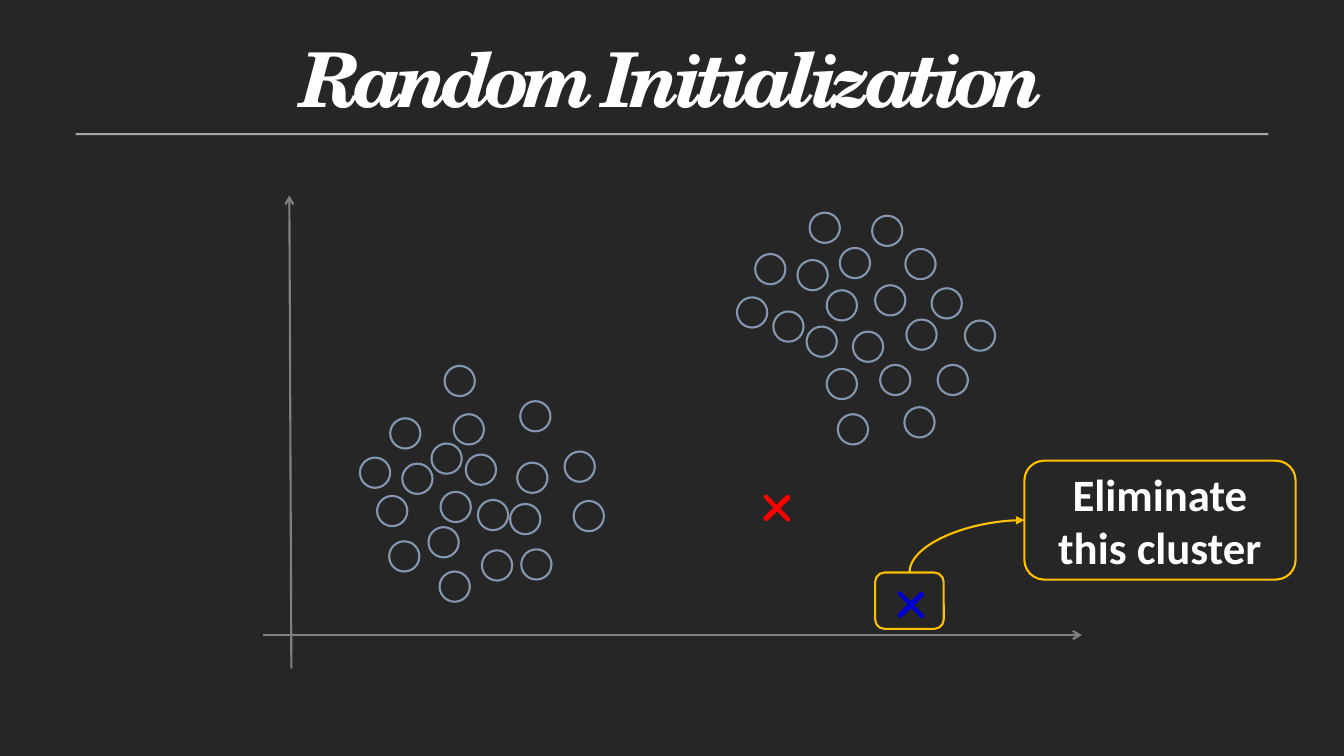
import pptx
import pptx.util
import pptx.dml.color
import pptx.enum.shapes
import pptx.enum.text
import pptx.oxml
import pptx.oxml.ns

RGB = pptx.dml.color.RGBColor
DARK = RGB(0x26, 0x26, 0x26)
WHITE = RGB(0xFF, 0xFF, 0xFF)
RULE = RGB(0xA6, 0xA6, 0xA6)
GREY = RGB(0x80, 0x80, 0x80)
STEEL = RGB(0x84, 0x97, 0xB0)
GOLD = RGB(0xFF, 0xC0, 0x00)
RED = RGB(0xFF, 0x00, 0x00)
BLUE = RGB(0x00, 0x00, 0xCC)

KIND = pptx.enum.shapes.MSO_SHAPE
LINK = pptx.enum.shapes.MSO_CONNECTOR
ALIGN = pptx.enum.text.PP_ALIGN
ANCHOR = pptx.enum.text.MSO_ANCHOR
FIT = pptx.enum.text.MSO_AUTO_SIZE
inch = pptx.util.Inches
qn = pptx.oxml.ns.qn

DOT = 0.3
LOWER = [
    (1.17, 1.33), (0.79, 2.04), (0.29, 1.74), (1.6, 1.82), (0.42, 0.97),
    (1.05, 0.88), (0.68, 1.6), (0.17, 1.29), (1.49, 1.37), (0.3, 0.52),
    (1.56, 0.96), (1.21, 1.83), (0.8, 1.25), (2.12, 1.34), (0.93, 0.48),
    (1.59, 0.35), (0, 0.91), (0.71, 0.77), (2.03, 0.85), (0.84, 0),
]
UPPER = [
    (1.42, 1.51), (0.89, 0.77), (1, 2), (1.99, 1.51), (0.36, 0.98),
    (1.34, 0.03), (1.15, 1.18), (0.89, 1.55), (1.68, 1.06), (0.18, 0.41),
    (1.37, 0.72), (1.66, 1.93), (0.69, 1.13), (2.26, 1.07), (1.02, 0.35),
    (1.67, 0.36), (0, 0.84), (0.6, 0.47), (1.93, 0.75), (0.72, 0),
]


def draw(slide, kind, box, line=None, fill=None):
    """Add a flat preset shape in the box."""
    shape = slide.shapes.add_shape(kind, *map(inch, box))
    shape.shadow.inherit = False
    if fill is None:
        shape.fill.background()
    else:
        shape.fill.solid()
        shape.fill.fore_color.rgb = fill
    if line is None:
        shape.line.fill.background()
    else:
        shape.line.color.rgb = line
        shape.line.width = pptx.util.Pt(1.5)
    return shape


def arrow(slide, kind, ends, color, head):
    """Add a connector with an arrowhead at its far end."""
    link = slide.shapes.add_connector(kind, *map(inch, ends))
    link.line.color.rgb = color
    link.line.width = pptx.util.Pt(1.5)
    props = link._element.spPr
    tail = pptx.oxml.ns.nsdecls("a")
    props.find(qn("a:ln")).append(
        pptx.oxml.parse_xml(f'<a:tailEnd {tail} type="{head}"/>'))
    props.append(pptx.oxml.parse_xml(f"<a:effectLst {tail}/>"))
    return link


def title(slide, box, text):
    """Fill the title placeholder and set the rule beneath it."""
    left, top, width, height = box
    draw(slide, KIND.RECTANGLE, (left, top + 1.27, width, 0.02), fill=RULE)
    head = slide.shapes.title
    head.left, head.top = inch(left + 0.38), inch(top)
    head.width, head.height = inch(width - 0.75), inch(height)
    frame = head.text_frame
    frame.auto_size = FIT.NONE
    frame.vertical_anchor = ANCHOR.TOP
    frame.text = text
    para = frame.paragraphs[0]
    para.alignment = ALIGN.CENTER
    para.line_spacing = pptx.util.Pt(80.7)
    font = para.font
    font.name, font.size = "TeX Gyre Schola", pptx.util.Pt(54)
    font.bold = font.italic = True
    font.color.rgb = WHITE
    para._p.pPr.find(qn("a:defRPr")).set("spc", "-480")


def axes(slide, box):
    """Draw the two plot axes across the box."""
    left, top, width, height = box
    base = top + height
    level = base - 0.33
    for ends in ((left + 0.28, base, left + 0.26, top),
                 (left, level, left + width, level)):
        arrow(slide, LINK.STRAIGHT, ends, GREY, "arrow")


def cloud(slide, left, top, dots):
    """Scatter the rings of one cluster from its corner."""
    for x, y in dots:
        draw(slide, KIND.OVAL, (left + x, top + y, DOT, DOT), STEEL)


def cross(slide, left, top, color):
    """Mark a cluster centre with a turned plus."""
    mark = draw(slide, KIND.CROSS, (left, top, 0.33, 0.32), color, color)
    mark.adjustments[0] = 0.466
    mark.rotation = 45.6


def plot(slide, box):
    """Place the axes, clusters and first centre in the box."""
    left, top = box[:2]
    axes(slide, box)
    cloud(slide, left + 0.96, top + 1.69, LOWER)
    cloud(slide, left + 4.7, top + 0.17, UPPER)
    cross(slide, left + 4.93, top + 2.94, RED)


def callout(slide, spot, box, text):
    """Frame the stray centre and point from it to a note."""
    cross(slide, spot[0] + 0.19, spot[1] + 0.16, BLUE)
    note = draw(slide, KIND.ROUNDED_RECTANGLE, box, GOLD)
    frame = note.text_frame
    frame.word_wrap = True
    frame.vertical_anchor = ANCHOR.MIDDLE
    frame.text = text
    para = frame.paragraphs[0]
    para.alignment = ALIGN.CENTER
    font = para.font
    font.name, font.size, font.bold = "Calibri", pptx.util.Pt(32), True
    font.color.rgb = WHITE
    draw(slide, KIND.ROUNDED_RECTANGLE, spot, GOLD)
    bend(slide, spot[0] + spot[2] / 2, spot[1],
         box[0], box[1] + box[3] / 2)


def bend(slide, x, y, far, high):
    """Curve an arrow up from a point and then right."""
    run, rise = far - x, y - high
    mid, half = (x + far) / 2, (y + high) / 2
    ends = (mid - rise / 2, half - run / 2, mid + rise / 2, half + run / 2)
    link = arrow(slide, LINK.CURVE, ends, GOLD, "triangle")
    props = link._element.spPr
    props.find(qn("a:prstGeom")).set("prst", "curvedConnector2")
    props.find(qn("a:xfrm")).set("rot", str(270 * 60000))


def main():
    """Build the slide and save it."""
    deck = pptx.Presentation()
    deck.slide_width, deck.slide_height = inch(13.33), inch(7.5)
    slide = deck.slides.add_slide(deck.slide_layouts[5])
    slide.background.fill.solid()
    slide.background.fill.fore_color.rgb = DARK
    title(slide, (0.75, 0.05, 11.83, 1.17), "Random Initialization")
    plot(slide, (2.61, 1.94, 8.12, 4.69))
    callout(slide, (8.68, 5.68, 0.68, 0.56), (10.16, 4.57, 2.69, 1.18),
            "Eliminate this cluster")
    deck.save("out.pptx")


if __name__ == "__main__":
    main()
